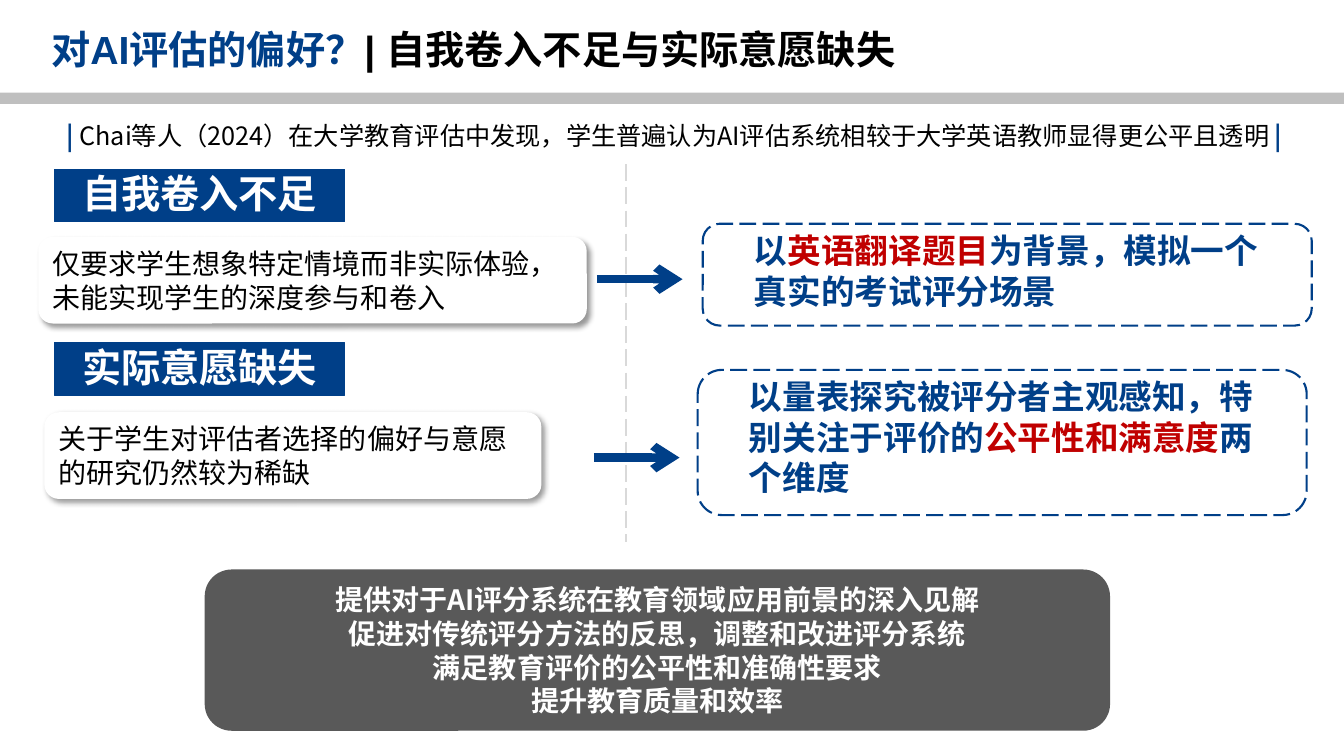
import dataclasses

import pptx
import pptx.dml.color
import pptx.enum.dml
import pptx.enum.shapes
import pptx.enum.text
import pptx.oxml
import pptx.oxml.ns
import pptx.util

Inches = pptx.util.Inches
Pt = pptx.util.Pt
Shapes = pptx.enum.shapes.MSO_SHAPE
Align = pptx.enum.text.PP_ALIGN
Anchor = pptx.enum.text.MSO_ANCHOR


@dataclasses.dataclass(frozen=True)
class Theme:
    navy: str = "003F88"
    red: str = "C00000"
    black: str = "000000"
    white: str = "FFFFFF"
    bar: str = "BFBFBF"
    divider: str = "D9D9D9"
    panel: str = "595959"
    heading: int = 28
    finding: int = 24
    body: int = 20
    citation: int = 18
    font: str = "Noto Sans CJK SC"
    title_font: str = "Arial"


THEME = Theme()


def rgb(value):
    return pptx.dml.color.RGBColor.from_string(value)


def add_xml(parent, body):
    namespace = pptx.oxml.ns.nsdecls("a")
    tag, rest = body[1:].split(" ", 1)
    parent.append(pptx.oxml.parse_xml(f"<{tag} {namespace} {rest}"))


def write(shape, paragraphs, size, bold=True, font=THEME.font, align=Align.LEFT,
          anchor=Anchor.MIDDLE, leading=1.2, wrap=True):
    frame = shape.text_frame
    frame.word_wrap = wrap
    frame.vertical_anchor = anchor
    for index, spans in enumerate(paragraphs):
        para = frame.add_paragraph() if index else frame.paragraphs[0]
        para.alignment = align
        para.line_spacing = Pt(round(size * leading))
        for text, color in spans:
            span = para.add_run()
            span.text = text
            span.font.size = Pt(size)
            span.font.name = font
            span.font.bold = bold or text == "|"
            span.font.color.rgb = rgb(color)
            add_xml(span.font._element, f'<a:ea typeface="{THEME.font}"/>')


def add_text(page, box, paragraphs, size, **options):
    shape = page.shapes.add_textbox(*map(Inches, box))
    write(shape, paragraphs, size, **options)


def add_block(page, kind, box, fill=None, line=None, width=0.75):
    shape = page.shapes.add_shape(kind, *map(Inches, box))
    shape.shadow.inherit = False
    if fill:
        shape.fill.solid()
        shape.fill.fore_color.rgb = rgb(fill)
    else:
        shape.fill.background()
    if line:
        shape.line.color.rgb = rgb(line)
        shape.line.width = Pt(width)
    else:
        shape.line.fill.background()
    return shape


def add_line(page, start, end, color, width):
    line = page.shapes.add_connector(
        pptx.enum.shapes.MSO_CONNECTOR.STRAIGHT, *map(Inches, (*start, *end)))
    line.line.color.rgb = rgb(color)
    line.line.width = Pt(width)
    add_xml(line._element.spPr, "<a:effectLst />")
    return line


def add_header(page, box):
    left, top, width, height = box
    add_block(page, Shapes.RECTANGLE, (left, top + 0.92, width, 0.11), THEME.bar)
    add_text(page, (left + 0.41, top + 0.34, 9.35, 0.34),
             [[("对AI评估的偏好？", THEME.navy),
               ("| 自我卷入不足与实际意愿缺失", THEME.black)]],
             THEME.heading, font=THEME.title_font, leading=1.08)
    add_text(page, (left + 0.56, top + 1.14, 12.69, height - 1.14),
             [[("|", THEME.navy),
               (" Chai等人（2024）在大学教育评估中发现，学生普遍认为AI评估系统"
                "相较于大学英语教师显得更公平且透明 ", THEME.black),
               ("|", THEME.navy)]],
             THEME.citation, bold=False, wrap=False)


def add_problem(page, box, label, text, card_offset):
    left, top, width, height = box
    tag = add_block(page, Shapes.RECTANGLE, (0.54, top, 2.88, 0.52),
                    THEME.navy, THEME.navy)
    write(tag, [[(label, THEME.white)]], THEME.heading,
          align=Align.CENTER, leading=1.08)
    card = add_block(page, Shapes.ROUNDED_RECTANGLE,
                     (left, top + card_offset, width, height - card_offset), THEME.white)
    effects = card._element.spPr.find(pptx.oxml.ns.qn("a:effectLst"))
    add_xml(effects,
            f'<a:outerShdw blurRad="{Pt(4)}" dist="{Pt(3)}" dir="2700000" algn="tl" '
            f'rotWithShape="0"><a:srgbClr val="{THEME.black}">'
            '<a:alpha val="40000"/></a:srgbClr></a:outerShdw>')
    write(card, [[(text, THEME.black)]], THEME.body, bold=False)


def add_response(page, box, text_width, spans):
    left, top, width, height = box
    frame = add_block(page, Shapes.ROUNDED_RECTANGLE, box, line=THEME.navy, width=1.5)
    frame.line.dash_style = pptx.enum.dml.MSO_LINE.LONG_DASH
    add_text(page, (left + 0.41, top + 0.01, text_width, height - 0.1),
             [spans], THEME.finding, anchor=Anchor.TOP)


def add_arrow(page, left, middle):
    arrow = add_line(page, (left, middle), (left + 0.85, middle), THEME.navy, 6)
    add_xml(arrow.line._get_or_add_ln(), '<a:tailEnd type="arrow"/>')


def add_comparison(page, box):
    left, top, width, height = box
    divider = add_line(page, (left + 6.21, top), (left + 6.21, top + height),
                       THEME.divider, 1.5)
    divider.line.dash_style = pptx.enum.dml.MSO_LINE.LONG_DASH
    add_problem(page, (left + 0.38, top + 0.05, 5.44, 1.53), "自我卷入不足",
                "仅要求学生想象特定情境而非实际体验，未能实现学生的深度参与和卷入", 0.67)
    add_problem(page, (left + 0.44, top + 1.77, 4.93, 1.55), "实际意愿缺失",
                "关于学生对评估者选择的偏好与意愿的研究仍然较为稀缺", 0.69)
    add_arrow(page, left + 5.92, top + 1.14)
    add_arrow(page, left + 5.89, top + 2.91)
    add_response(page, (left + 6.97, top + 0.59, 6.04, 1.01), 5.24,
                 [("以", THEME.navy), ("英语翻译题目", THEME.red),
                  ("为背景，模拟一个真实的考试评分场景", THEME.navy)])
    add_response(page, (left + 6.92, top + 2.04, 6.04, 1.44), 5.42,
                 [("以量表探究被评分者主观感知，特别关注于评价的", THEME.navy),
                  ("公平性和满意度", THEME.red), ("两个维度", THEME.navy)])


def add_significance(page, box):
    panel = add_block(page, Shapes.ROUNDED_RECTANGLE, box, THEME.panel)
    points = ("提供对于AI评分系统在教育领域应用前景的深入见解",
              "促进对传统评分方法的反思，调整和改进评分系统",
              "满足教育评价的公平性和准确性要求",
              "提升教育质量和效率")
    write(panel, [[(point, THEME.white)] for point in points],
          THEME.body, align=Align.CENTER)


def main():
    deck = pptx.Presentation()
    deck.slide_width, deck.slide_height = Inches(13.33), Inches(7.5)
    page = deck.slides.add_slide(deck.slide_layouts[6])
    add_header(page, (0, 0, 13.33, 1.54))
    add_comparison(page, (0, 1.63, 13.33, 3.75))
    add_significance(page, (2.03, 5.65, 8.98, 1.6))
    deck.save("out.pptx")


if __name__ == "__main__":
    main()
